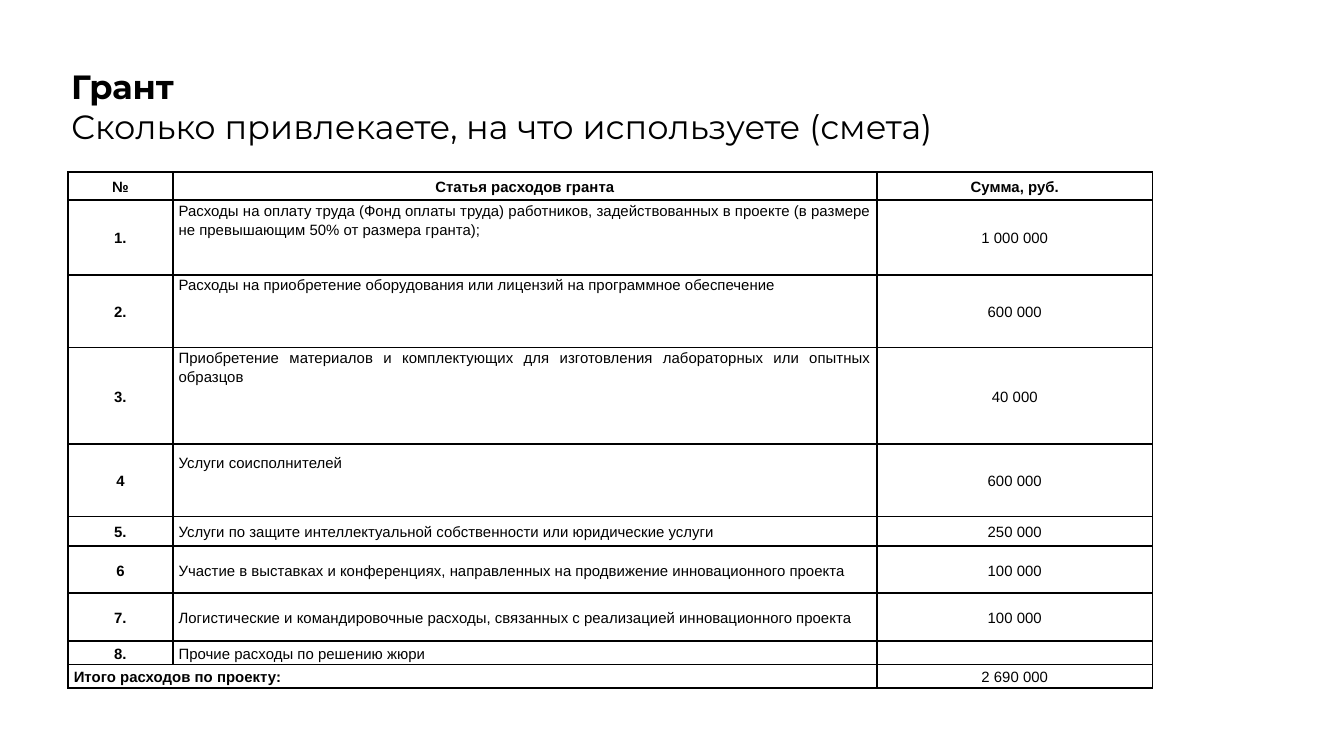
from dataclasses import dataclass

import lxml.etree
import pptx
import pptx.dml.color
import pptx.enum.text
import pptx.oxml.ns
import pptx.util

ALIGN = pptx.enum.text.PP_ALIGN
ANCHOR = pptx.enum.text.MSO_ANCHOR


@dataclass(frozen=True)
class Theme:
    ink: str = "000000"
    paper: str = "FFFFFF"
    title_font: str = "Montserrat"
    table_font: str = "Arial"
    title_size: float = 18
    table_size: float = 8
    border: float = 1


@dataclass(frozen=True)
class Expense:
    number: str
    item: str
    amount: str
    height: float
    align: ALIGN = ALIGN.LEFT
    anchor: ANCHOR = ANCHOR.MIDDLE
    top: float = 0


THEME = Theme()
WIDTH = pptx.util.Inches(10)
HEIGHT = WIDTH * 9 // 16
COLUMNS = (7.8, 52.4, 20.5)
HEADER = ("№", "Статья расходов гранта", "Сумма, руб.")
HEADER_HEIGHT, TOTAL_HEIGHT = 2.1, 1.75
EXPENSES = (
    Expense("1.", "Расходы на оплату труда (Фонд оплаты труда) работников, задействованных "
            "в проекте (в размере не превышающим 50% от размера гранта);",
            "1 000 000", 5.55, ALIGN.JUSTIFY, ANCHOR.TOP),
    Expense("2.", "Расходы на приобретение оборудования или лицензий на программное обеспечение",
            "600 000", 5.4, ALIGN.JUSTIFY, ANCHOR.TOP),
    Expense("3.", "Приобретение материалов и комплектующих для изготовления лабораторных "
            "или опытных образцов", "40 000", 7.2, ALIGN.JUSTIFY, ANCHOR.TOP),
    Expense("4", "Услуги соисполнителей", "600 000", 5.4, ALIGN.JUSTIFY, ANCHOR.TOP, 0.6),
    Expense("5.", "Услуги по защите интеллектуальной собственности или юридические услуги",
            "250 000", 2.2),
    Expense("6", "Участие в выставках и конференциях, направленных на продвижение "
            "инновационного проекта", "100 000", 3.5),
    Expense("7.", "Логистические и командировочные расходы, связанных с реализацией "
            "инновационного проекта", "100 000", 3.55),
    Expense("8.", "Прочие расходы по решению жюри", "", 1.75),
)


def share(percent: float) -> int:
    return round(WIDTH * percent / 100)


def write(p, text: str, *, font: str, size: float, bold: bool = False,
          align: ALIGN = ALIGN.LEFT, spacing: float = 1.0) -> None:
    p.alignment = align
    p.line_spacing = spacing
    if not text:
        end = lxml.etree.SubElement(p._p, pptx.oxml.ns.qn("a:endParaRPr"))
        end.set("sz", str(round(size * 100)))
        return
    r = p.add_run()
    r.text = text
    r.font.name = font
    r.font.size = pptx.util.Pt(size)
    r.font.bold = bold
    r.font.color.rgb = pptx.dml.color.RGBColor.from_string(THEME.ink)


def add_borders(cell) -> None:
    qn = pptx.oxml.ns.qn
    tc_pr = cell._tc.get_or_add_tcPr()
    for side in ("lnL", "lnR", "lnT", "lnB"):
        line = lxml.etree.SubElement(tc_pr, qn(f"a:{side}"))
        line.set("w", str(pptx.util.Pt(THEME.border)))
        fill = lxml.etree.SubElement(line, qn("a:solidFill"))
        lxml.etree.SubElement(fill, qn("a:srgbClr")).set("val", THEME.ink)


def format_cell(cell) -> None:
    add_borders(cell)
    cell.fill.solid()
    cell.fill.fore_color.rgb = pptx.dml.color.RGBColor.from_string(THEME.paper)
    cell.margin_left = cell.margin_right = share(0.43)
    cell.margin_top = cell.margin_bottom = 0


def write_cell(cell, text: str, *, bold: bool = False, align: ALIGN = ALIGN.CENTER,
               anchor: ANCHOR = ANCHOR.MIDDLE, top: float = 0) -> None:
    cell.vertical_anchor = anchor
    cell.margin_top = share(top)
    write(cell.text_frame.paragraphs[0], text, font=THEME.table_font,
          size=THEME.table_size, bold=bold, align=align, spacing=1.15)


def add_title(s) -> None:
    sp = s.shapes.title
    sp.left, sp.top, sp.width, sp.height = map(share, (4.3, 3.9, 91.5, 19.2))
    tf = sp.text_frame
    tf.word_wrap = True
    tf.auto_size = pptx.enum.text.MSO_AUTO_SIZE.NONE
    tf.vertical_anchor = ANCHOR.TOP
    tf.margin_left = tf.margin_right = tf.margin_top = tf.margin_bottom = share(1)
    style = dict(font=THEME.title_font, size=THEME.title_size)
    write(tf.paragraphs[0], "Грант", bold=True, **style)
    write(tf.add_paragraph(), "Сколько привлекаете, на что используете (смета)", **style)


def add_budget(s) -> None:
    heights = (HEADER_HEIGHT, *(e.height for e in EXPENSES), TOTAL_HEIGHT)
    table = s.shapes.add_table(len(heights), len(COLUMNS), share(5.06), share(12.8),
                               share(sum(COLUMNS)), share(sum(heights))).table
    table.first_row = table.horz_banding = False
    for column, width in zip(table.columns, COLUMNS):
        column.width = share(width)
    for row, height in zip(table.rows, heights):
        row.height = share(height)
    for cell in table.iter_cells():
        format_cell(cell)

    for col, text in enumerate(HEADER):
        write_cell(table.cell(0, col), text, bold=True)
    for row, e in enumerate(EXPENSES, start=1):
        write_cell(table.cell(row, 0), e.number, bold=True)
        write_cell(table.cell(row, 1), e.item, align=e.align, anchor=e.anchor, top=e.top)
        write_cell(table.cell(row, 2), e.amount)
    last = len(heights) - 1
    table.cell(last, 0).merge(table.cell(last, 1))
    write_cell(table.cell(last, 0), "Итого расходов по проекту:", bold=True, align=ALIGN.LEFT)
    write_cell(table.cell(last, 2), "2 690 000")


def main() -> None:
    prs = pptx.Presentation()
    prs.slide_width, prs.slide_height = WIDTH, HEIGHT
    s = prs.slides.add_slide(prs.slide_layouts.get_by_name("Title Only"))
    add_title(s)
    add_budget(s)
    prs.save("out.pptx")


if __name__ == "__main__":
    main()
